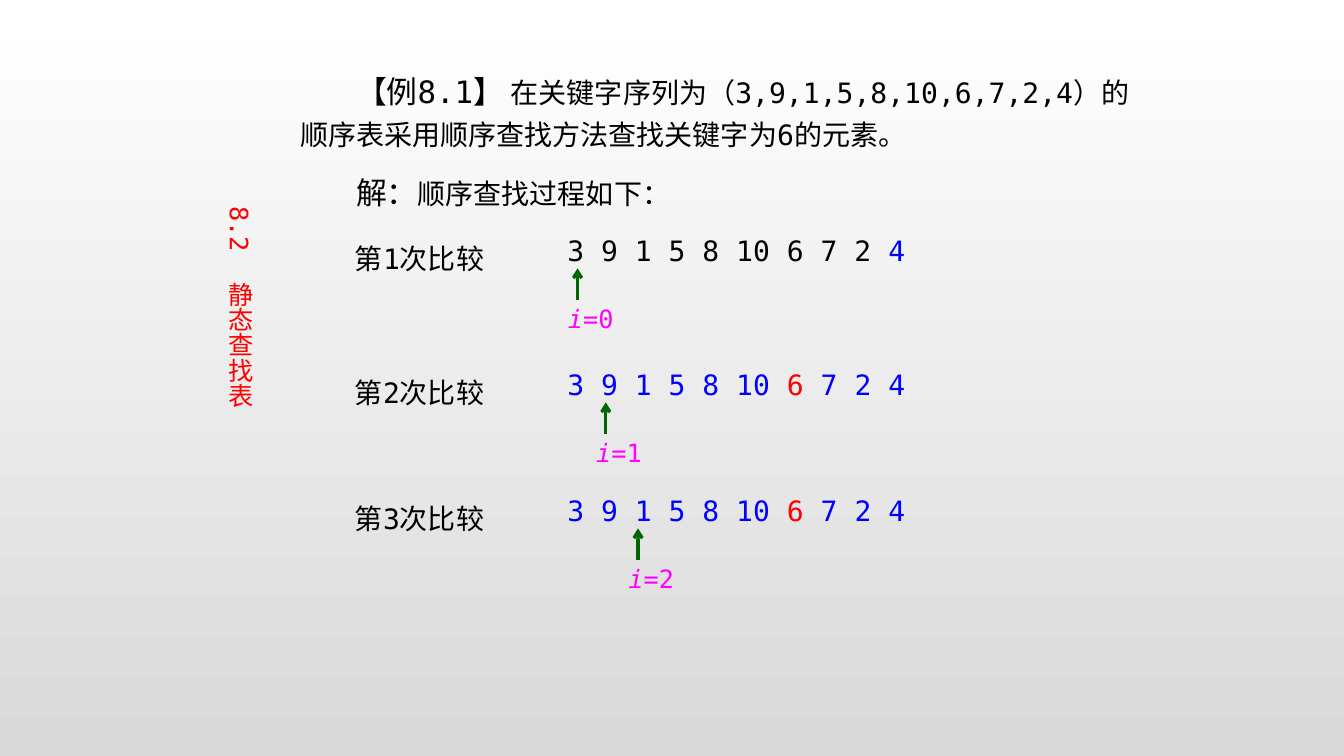
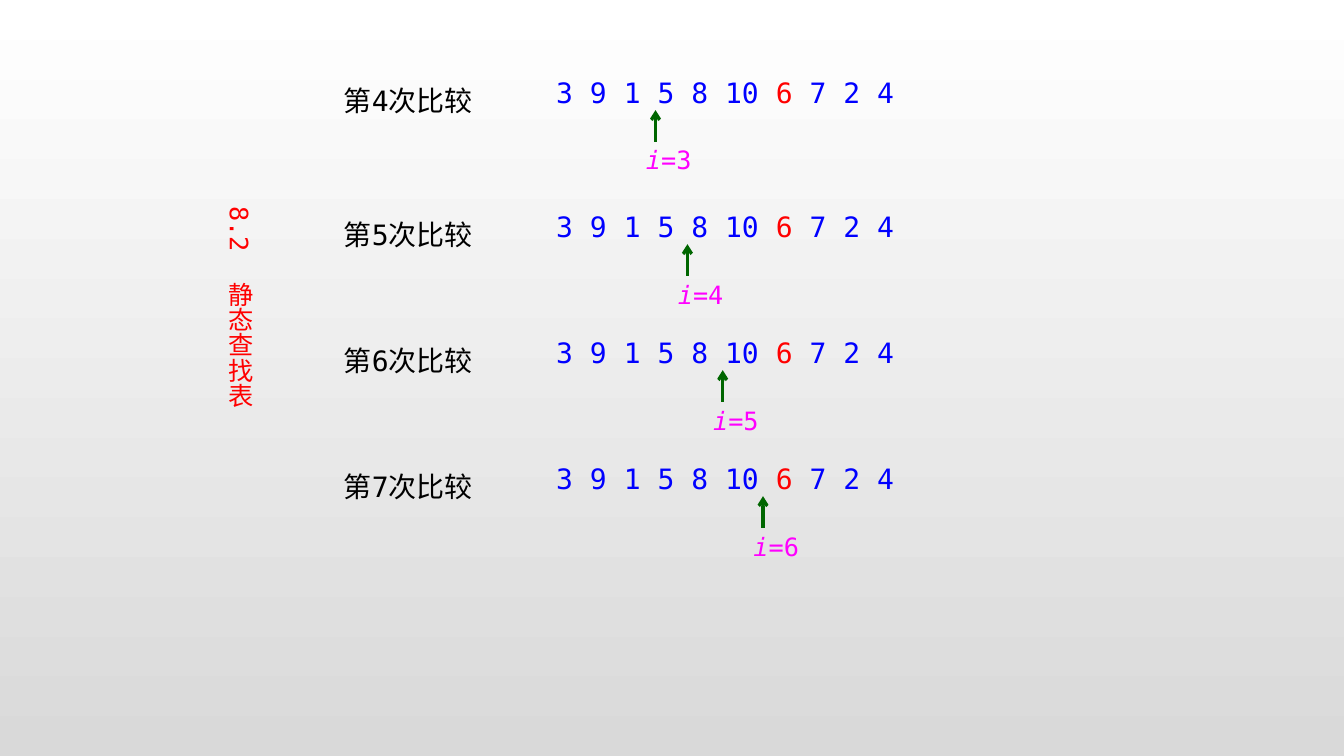
from lxml import etree
from pptx import Presentation
from pptx.dml.color import RGBColor
from pptx.enum.shapes import MSO_CONNECTOR
from pptx.enum.text import MSO_AUTO_SIZE, PP_ALIGN
from pptx.oxml.ns import qn
from pptx.util import Inches, Pt

LINE = MSO_CONNECTOR.STRAIGHT
GROW = MSO_AUTO_SIZE.SHAPE_TO_FIT_TEXT
MID = PP_ALIGN.CENTER

INK = {"black": "000000", "blue": "0000FF", "red": "FF0000",
       "pink": "FF00FF", "green": "006600", "top": "FFFFFF", "foot": "D9D9D9"}

deck = Presentation()
deck.slide_width, deck.slide_height = Inches(13.33), Inches(7.5)

# Grid: 40 columns by 30 rows
COL, ROW = deck.slide_width / 40, deck.slide_height / 30


def tint(name):
    return RGBColor.from_string(INK[name])


def write(shapes, box, *paras):
    """Add a text box; each paragraph is a list of (text, size, colour, italic)."""
    x, y, w, h = box
    note = shapes.add_textbox(round(x * COL), round(y * ROW), round(w * COL), round(h * ROW))
    frame = note.text_frame
    frame.word_wrap, frame.auto_size = True, GROW
    for n, runs in enumerate(paras):
        para = frame.add_paragraph() if n else frame.paragraphs[0]
        for text, size, ink, slant in runs:
            run = para.add_run()
            run.text = text
            form = {"name": "DejaVu Sans Mono", "size": Pt(size), "italic": slant}
            for key, value in form.items():
                setattr(run.font, key, value)
            run.font.color.rgb = tint(ink)
    return frame


# Shared background
fill = deck.slide_master.background.fill
fill.gradient()
fill.gradient_angle = 270
for stop, name, place in zip(fill.gradient_stops, ("top", "foot"), (0, 1)):
    stop.color.rgb = tint(name)
    stop.position = place

# Number lists: the first step differs in colour
FIRST = [("3 9 1 5 8 10 6 7 2 ", 20, "black", False), ("4", 20, "blue", False)]
LATER = [("3 9 1 5 8 10 ", 20, "blue", False), ("6", 20, "red", False),
         (" 7 2 4", 20, "blue", False)]

# Arrow offsets from the list's left edge, in columns, by index i
SHIFT = [0.6, 1.44, 2.4, 3.25, 4.2, 5.25, 6.45]

# Per slide: left and top of the first list, and the indices shown
PAGES = [(16.59, 9.08, range(0, 3)), (16.26, 2.8, range(3, 7))]

for page, (left, top, steps) in enumerate(PAGES):
    slide = deck.slides.add_slide(deck.slide_layouts[6])

    # Example and opening of the solution
    if page == 0:
        frame = write(
            slide.shapes, (8.64, 2.48, 25.44, 6.12),
            [("【例8.1】 ", 22, "black", False),
             ("在关键字序列为（3,9,1,5,8,10,6,7,2,4）的顺序表采用顺序查找方法查找关键字为6的元素。",
              20, "black", False)],
            [("解：", 22, "black", False), ("顺序查找过程如下：", 20, "black", False)])
        for para in frame.paragraphs:
            for key, value in {"line_spacing": Pt(30), "space_before": Pt(12)}.items():
                setattr(para, key, value)
            para._p.get_or_add_pPr().set("indent", str(Pt(40)))

    # Search steps; the first gap is slightly wider
    for n, i in enumerate(steps):
        y = top + 5 * n + (0.32 if n else 0)
        x = left + SHIFT[i]
        group = slide.shapes.add_group_shape().shapes
        write(group, (left, y, 10.77, 1.76), LATER if i else FIRST)

        arrow = group.add_connector(LINE, round(x * COL), round((y + 2.82) * ROW),
                                    round(x * COL), round((y + 1.57) * ROW))
        arrow.line.color.rgb = tint("green")
        arrow.line.width = Pt(2.25)
        etree.SubElement(arrow.line._get_or_add_ln(), qn("a:tailEnd"), type="arrow")
        etree.SubElement(arrow._element.spPr, qn("a:effectLst"))

        write(group, (x - 0.58, y + 2.75, 3.27, 1.6),
              [("i", 18, "pink", True), (f"={i}", 18, "pink", False)])
        write(group, (left - 6.32, y + 0.32, 4.92, 1.76),
              [(f"第{i + 1}次比较", 20, "black", False)])

    # Vertical section title
    frame = write(slide.shapes, (6.24, 7.8, 1.5, 12.8),
                  [("8.2  静态查找表", 18, "red", False)])
    frame._txBody.bodyPr.set("vert", "eaVert")
    for key, value in {"alignment": MID, "space_before": Pt(9)}.items():
        setattr(frame.paragraphs[0], key, value)

deck.save("out.pptx")
